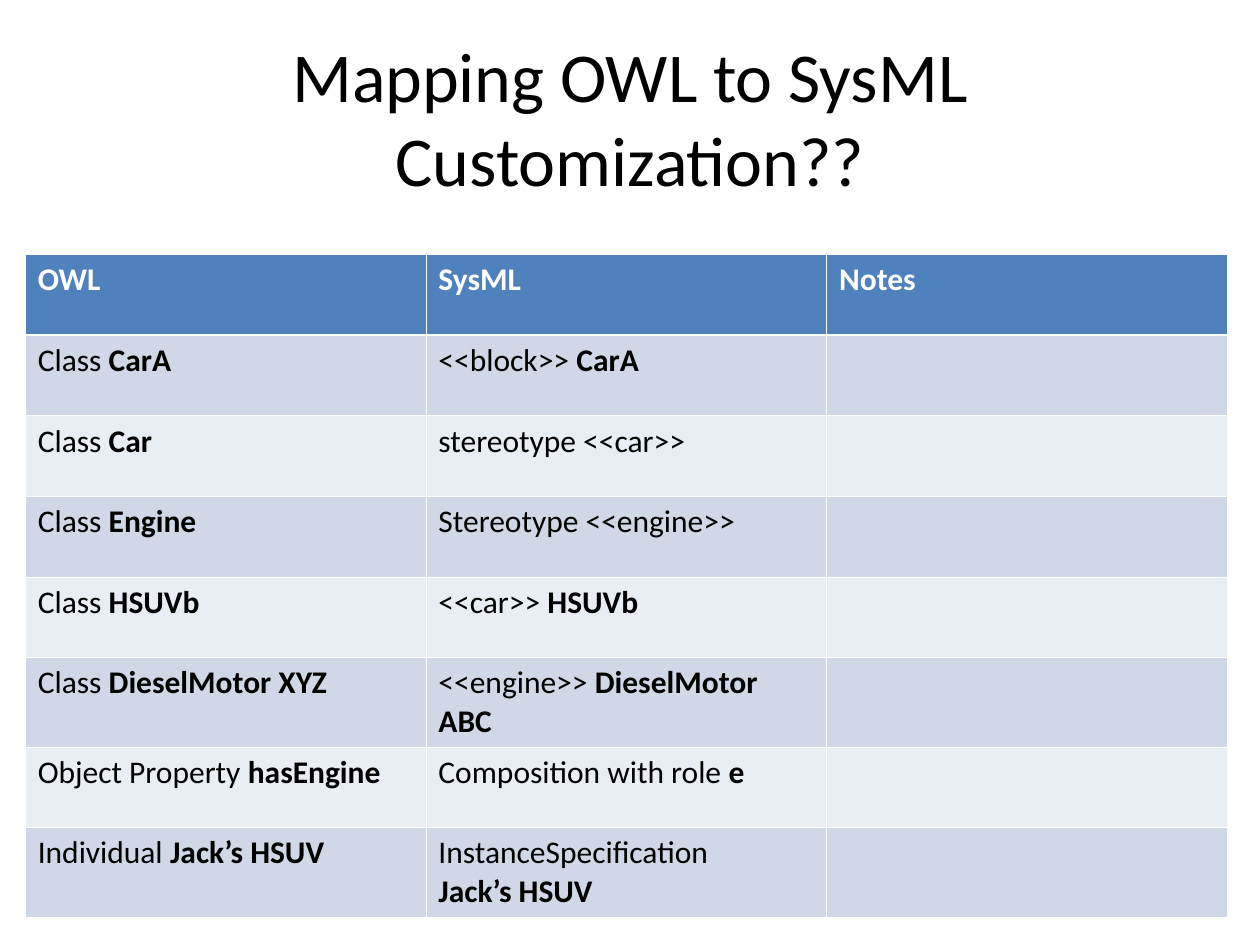
from dataclasses import dataclass

from lxml.etree import SubElement
from pptx import Presentation
from pptx.dml.color import RGBColor as RGB
from pptx.enum.text import MSO_ANCHOR as ANCHOR, PP_ALIGN as ALIGN
from pptx.oxml.ns import qn
from pptx.util import Inches, Pt


@dataclass(frozen=True)
class Theme:
    font: str = "Calibri"
    title_size: int = 40
    cell_size: int = 18
    text: str = "000000"
    header_text: str = "FFFFFF"
    header_fill: str = "4F81BD"
    bands: tuple = ("D0D8E8", "E9EDF4")
    border: str = "FFFFFF"
    thin: float = 0.45
    thick: float = 1.47


THEME = Theme()
TITLE = "Mapping OWL to SysML Customization??"
HEADER = ("OWL", "SysML", "Notes")
MAPPINGS = (
    ("Class *CarA*", "<<block>> *CarA*", ""),
    ("Class *Car*", "stereotype <<car>>", ""),
    ("Class *Engine*", "Stereotype <<engine>>", ""),
    ("Class *HSUVb*", "<<car>> *HSUVb*", ""),
    ("Class *DieselMotor XYZ*", "<<engine>> *DieselMotor ABC*", ""),
    ("Object Property *hasEngine*", "Composition with role *e*", ""),
    ("Individual *Jack’s HSUV*", "InstanceSpecification\n*Jack’s HSUV*", ""),
)
COL_WIDTH = 3.18
ROW_HEIGHT, TALL_ROW_HEIGHT = 0.64, 0.71
TALL_ROWS = (5, 7)


def style_font(font, size, color):
    font.name = THEME.font
    font.size = Pt(size)
    font.color.rgb = RGB.from_string(color)


def add_title(s):
    sp = s.shapes.add_textbox(Inches(0.5), Inches(0.3), Inches(9), Inches(1.25))
    tf = sp.text_frame
    tf.word_wrap = True
    tf.vertical_anchor = ANCHOR.MIDDLE
    p = tf.paragraphs[0]
    p.text = TITLE
    p.alignment = ALIGN.CENTER
    style_font(p.font, THEME.title_size, THEME.text)


def add_border(cell, side, width):
    ln = SubElement(cell._tc.get_or_add_tcPr(), qn(f"a:ln{side}"), w=str(Pt(width)))
    fill = SubElement(ln, qn("a:solidFill"))
    SubElement(fill, qn("a:srgbClr"), val=THEME.border)


def write_cell(cell, text, color):
    tf = cell.text_frame
    for i, line in enumerate(text.split("\n")):
        p = tf.add_paragraph() if i else tf.paragraphs[0]
        style_font(p.font, THEME.cell_size, color)
        for j, part in enumerate(line.split("*")):
            if part:
                r = p.add_run()
                r.text = part
                r.font.bold = j % 2 == 1


def style_cell(cell, row):
    thick_sides = {0: "B", 1: "T"}.get(row, "")
    for side in "LRTB":
        add_border(cell, side, THEME.thick if side in thick_sides else THEME.thin)
    cell.fill.solid()
    color = THEME.bands[(row - 1) % 2] if row else THEME.header_fill
    cell.fill.fore_color.rgb = RGB.from_string(color)


def add_mapping_table(s):
    rows = [[f"*{name}*" for name in HEADER], *MAPPINGS]
    heights = [TALL_ROW_HEIGHT if i in TALL_ROWS else ROW_HEIGHT
               for i in range(len(rows))]
    table = s.shapes.add_table(
        len(rows), len(HEADER), Inches(0.2), Inches(2.02),
        Inches(COL_WIDTH * len(HEADER)), Inches(sum(heights))).table
    for col in table.columns:
        col.width = Inches(COL_WIDTH)
    for i, (texts, height) in enumerate(zip(rows, heights)):
        table.rows[i].height = Inches(height)
        for j, text in enumerate(texts):
            cell = table.cell(i, j)
            write_cell(cell, text, THEME.text if i else THEME.header_text)
            style_cell(cell, i)


def main():
    prs = Presentation()
    prs.slide_width, prs.slide_height = Inches(10), Inches(7.5)
    s = prs.slides.add_slide(prs.slide_layouts[6])
    add_title(s)
    add_mapping_table(s)
    prs.save("out.pptx")


if __name__ == "__main__":
    main()
